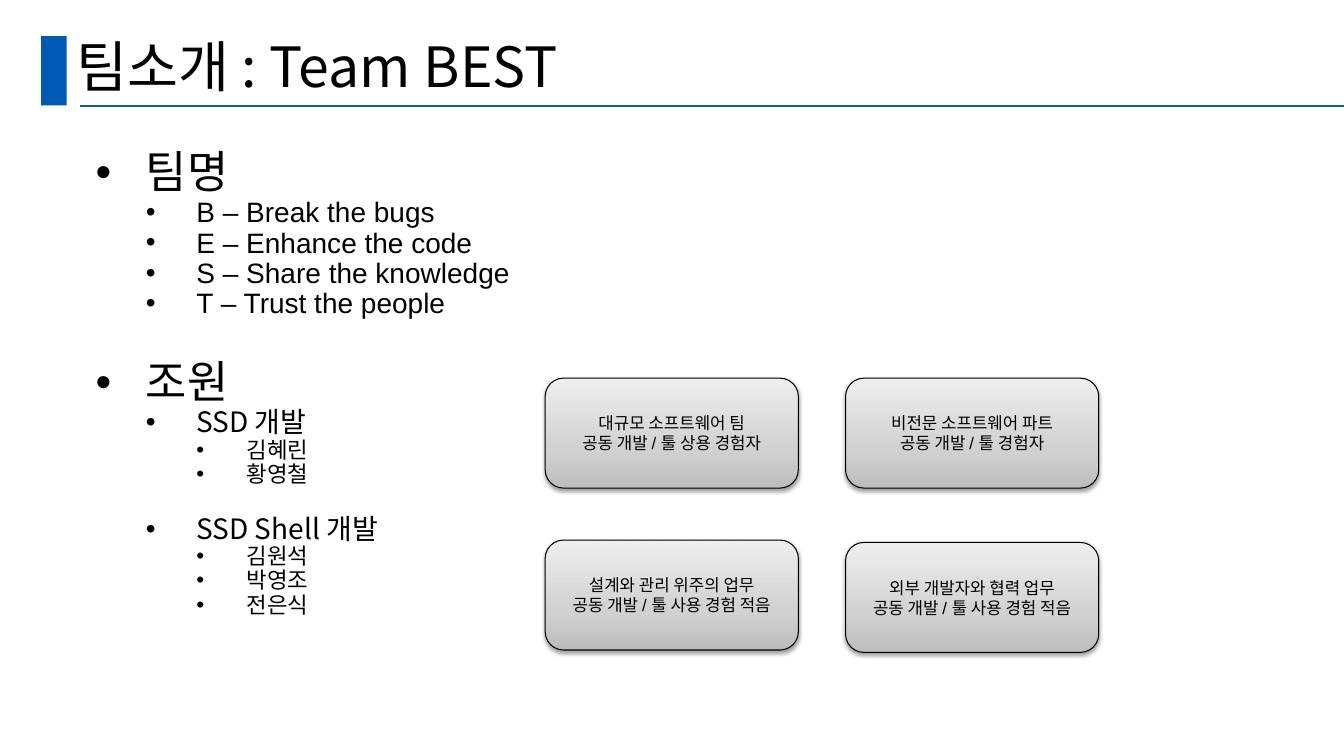
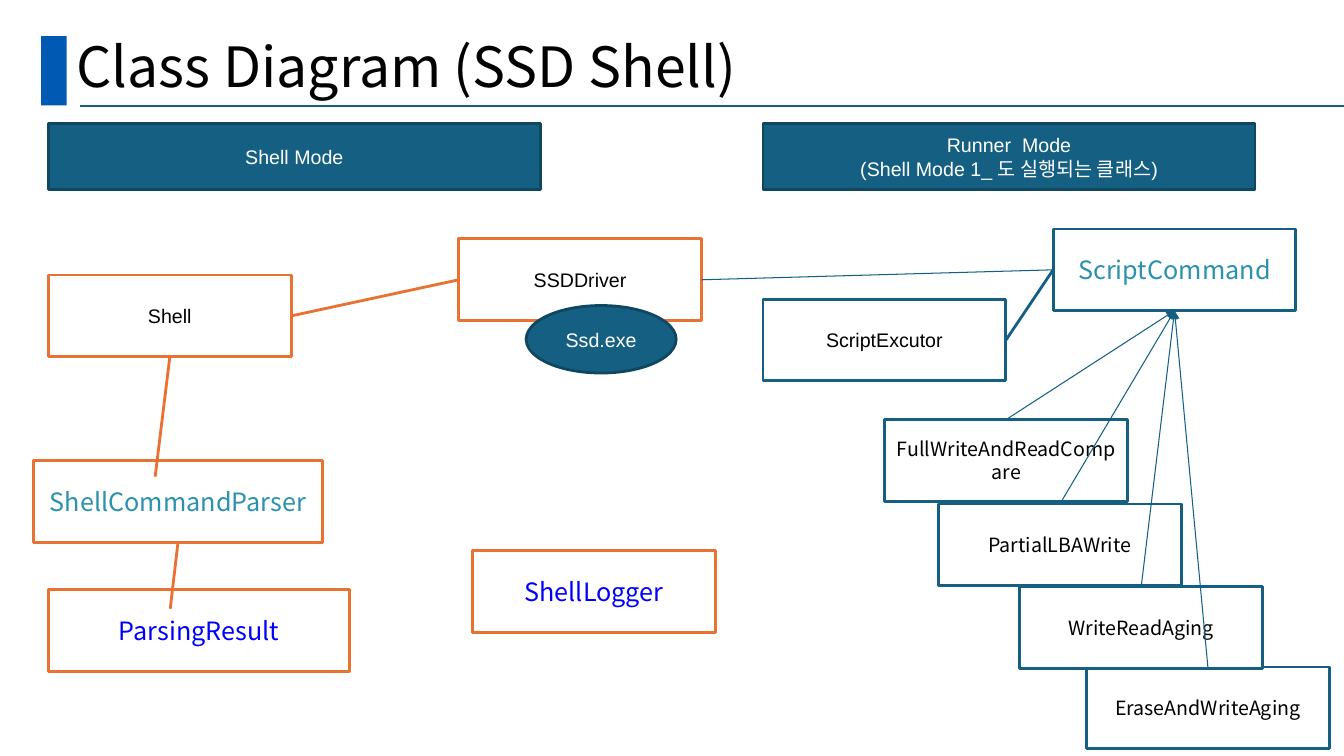
from copy import deepcopy

from pptx import Presentation
from pptx import util as u
from pptx.dml.color import RGBColor
from pptx.enum import shapes, text
from pptx.oxml.ns import qn
from lxml import etree

COLORS = {
    "black": "000000", "white": "FFFFFF", "band": "005AB4", "teal": "156082",
    "teal_edge": "104760", "arrow": "125F82", "orange": "E97132",
    "type_name": "2B91AF", "keyword": "0000FF",
    "gray_dark": "BDBDBD", "gray_mid": "D1D1D1", "gray_light": "EEEEEE",
}
ARIAL, NOTO = "Arial", "Noto Sans CJK KR"
TOP, LEFT, BOTTOM, RIGHT = range(4)
SHAPE = shapes.MSO_SHAPE


def rgb(name):
    return RGBColor.from_string(COLORS[name])


def add_xml(parent, tag, **attributes):
    return etree.SubElement(parent, qn(tag), attributes)


def write(paragraph, content, size=14, font=ARIAL, color="black",
          align=None, spacing=None, before=0, depth=None):
    run = paragraph.add_run()
    run.text = content
    run.font.size = u.Pt(size)
    run.font.name = font
    run.font.color.rgb = rgb(color)
    paragraph.alignment = align
    paragraph.line_spacing = spacing
    paragraph.space_before = u.Pt(before)
    if depth is not None:
        props = paragraph._p.get_or_add_pPr()
        props.set("marL", str(u.Cm(1.75 + 1.27 * depth)))
        props.set("indent", str(u.Cm(-1.27)))
        add_xml(add_xml(props, "a:buClr"), "a:srgbClr", val=COLORS["black"])
        add_xml(props, "a:buFont", typeface=ARIAL)
        add_xml(props, "a:buChar", char="•")


class Deck:
    def __init__(self):
        self.prs = Presentation()
        self.prs.slide_width, self.prs.slide_height = u.Cm(33.87), u.Cm(19.05)
        self.slide = None

    def start(self, title):
        self.slide = self.prs.slides.add_slide(self.prs.slide_layouts[6])
        self.box("", 1.04, 0.91, 0.64, 1.75, fill="band", edge=None)
        self.line((2.01, 2.67), (33.87, 2.67), "teal", 1.5)
        frame = self.text_area(1.68, 0.86, 29.21, 1.8)
        frame.vertical_anchor = text.MSO_ANCHOR.MIDDLE
        write(frame.paragraphs[0], title, size=39.6, font=NOTO, spacing=0.9)

    def text_area(self, *area):
        frame = self.slide.shapes.add_textbox(*map(u.Cm, area)).text_frame
        frame.word_wrap = True
        return frame

    def outline(self, items):
        frame = self.text_area(1.68, 3.66, 29.21, 13.69)
        for i, (depth, content, font, before) in enumerate(items):
            paragraph = frame.add_paragraph() if i else frame.paragraphs[0]
            write(paragraph, content, size=(32, 20, 16)[depth], font=font,
                  spacing=0.9, before=before, depth=depth)

    def box(self, content, left, top, width=6.12, height=2.06, kind=SHAPE.RECTANGLE,
            fill="white", edge="teal", weight=2, **style):
        shape = self.slide.shapes.add_shape(kind, *map(u.Cm, (left, top, width, height)))
        shape.shadow.inherit = False
        shape.fill.solid()
        shape.fill.fore_color.rgb = rgb(fill)
        if edge:
            shape.line.color.rgb = rgb(edge)
            shape.line.width = u.Pt(weight)
        else:
            shape.line.fill.background()
        frame = shape.text_frame
        frame.word_wrap = True
        frame.vertical_anchor = text.MSO_ANCHOR.MIDDLE
        for i, row in enumerate(content.split("\n") if content else []):
            paragraph = frame.add_paragraph() if i else frame.paragraphs[0]
            write(paragraph, row, align=text.PP_ALIGN.CENTER, **style)
        return shape

    def card(self, content, left, top):
        shape = self.box(content, left, top, 6.38, 2.77, SHAPE.ROUNDED_RECTANGLE,
                         edge="black", weight=0.75, size=12)
        shape.fill.gradient()
        shape.fill.gradient_angle = 90
        props = shape._element.spPr
        stops = props.find(".//" + qn("a:gsLst"))
        stops.append(deepcopy(stops[0]))
        shades = ((0, "gray_dark"), (0.35, "gray_mid"), (1, "gray_light"))
        for stop, (position, shade) in zip(shape.fill.gradient_stops, shades):
            stop.position = position
            stop.color.rgb = rgb(shade)
        shadow = add_xml(props.find(qn("a:effectLst")), "a:outerShdw",
                         blurRad=str(u.Pt(3.1)), dist=str(u.Pt(1.6)),
                         dir="5400000", rotWithShape="0")
        tint = add_xml(shadow, "a:srgbClr", val=COLORS["black"])
        add_xml(tint, "a:alpha", val="38000")

    def line(self, start, end, color, weight, arrow=False):
        points = [(0, 0) if hasattr(point[0], "shape_id") else point
                  for point in (start, end)]
        link = self.slide.shapes.add_connector(
            shapes.MSO_CONNECTOR.STRAIGHT, *(u.Cm(v) for point in points for v in point))
        for point, join in ((start, link.begin_connect), (end, link.end_connect)):
            if hasattr(point[0], "shape_id"):
                join(*point)
        link.line.color.rgb = rgb(color)
        link.line.width = u.Pt(weight)
        if arrow:
            add_xml(link.line._get_or_add_ln(), "a:tailEnd", type="triangle")
        add_xml(link._element.spPr, "a:effectLst")


def team_slide(deck):
    deck.start("팀소개 : Team BEST")
    deck.outline([
        (0, "팀명", NOTO, 0),
        (1, "B – Break the bugs", ARIAL, 0),
        (1, "E – Enhance the code", ARIAL, 0),
        (1, "S – Share the knowledge", ARIAL, 0),
        (1, "T – Trust the people", ARIAL, 0),
        (0, "조원", NOTO, 29),
        (1, "SSD 개발", NOTO, 0),
        (2, "김혜린", ARIAL, 0),
        (2, "황영철", ARIAL, 0),
        (1, "SSD Shell 개발", NOTO, 20),
        (2, "김원석", NOTO, 0),
        (2, "박영조", NOTO, 0),
        (2, "전은식", NOTO, 0),
    ])
    for content, left, top in (
        ("대규모 소프트웨어 팀\n공동 개발 / 툴 상용 경험자", 13.74, 9.53),
        ("비전문 소프트웨어 파트\n공동 개발 / 툴 경험자", 21.31, 9.53),
        ("설계와 관리 위주의 업무\n공동 개발 / 툴 사용 경험 적음", 13.74, 13.61),
        ("외부 개발자와 협력 업무\n공동 개발 / 툴 사용 경험 적음", 21.31, 13.67),
    ):
        deck.card(content, left, top)


def class_slide(deck):
    deck.start("Class Diagram (SSD Shell)")
    solid = dict(fill="teal", edge="teal_edge", color="white")
    type_name = dict(size=18, font=NOTO, color="type_name")
    keyword = dict(size=18, font=NOTO, color="keyword", edge="orange")

    for mode, left in (("Shell Mode", 1.22),
                       ("Runner  Mode\n(Shell Mode 1_ 도 실행되는 클래스)", 19.23)):
        deck.box(mode, left, 3.12, 12.4, 1.65, **solid)

    shell = deck.box("Shell", 1.22, 6.93, edge="orange")
    executor = deck.box("ScriptExcutor", 19.23, 7.54)
    parser = deck.box("ShellCommandParser", 0.84, 11.61, 7.29, edge="orange", **type_name)
    deck.box("ParsingResult", 1.22, 14.86, 7.59, **keyword)
    driver = deck.box("SSDDriver", 11.56, 6.02, edge="orange")
    command = deck.box("ScriptCommand", 26.54, 5.77, **type_name)
    deck.box("ShellLogger", 11.91, 13.87, **keyword)
    deck.box("Ssd.exe", 13.26, 7.7, 3.78, 1.7, SHAPE.OVAL, **solid)
    scripts = [deck.box(name, left, top, font=NOTO) for name, left, top in (
        ("FullWriteAndReadCompare", 22.3, 10.57),
        ("PartialLBAWrite", 23.65, 12.7),
        ("EraseAndWriteAging", 27.38, 16.81),
        ("WriteReadAging", 25.7, 14.78),
    )]

    deck.line((executor, RIGHT), (command, LEFT), "teal", 2)
    deck.line((shell, BOTTOM), (3.91, 12.01), "orange", 2)
    deck.line((parser, BOTTOM), (4.29, 15.34), "orange", 2)
    deck.line((shell, RIGHT), (driver, LEFT), "orange", 2)
    for script in scripts:
        deck.line((script, TOP), (command, BOTTOM), "arrow", 0.75, arrow=True)
    deck.line((driver, RIGHT), (command, LEFT), "arrow", 0.75)


def main():
    deck = Deck()
    team_slide(deck)
    class_slide(deck)
    deck.prs.save("out.pptx")


if __name__ == "__main__":
    main()
